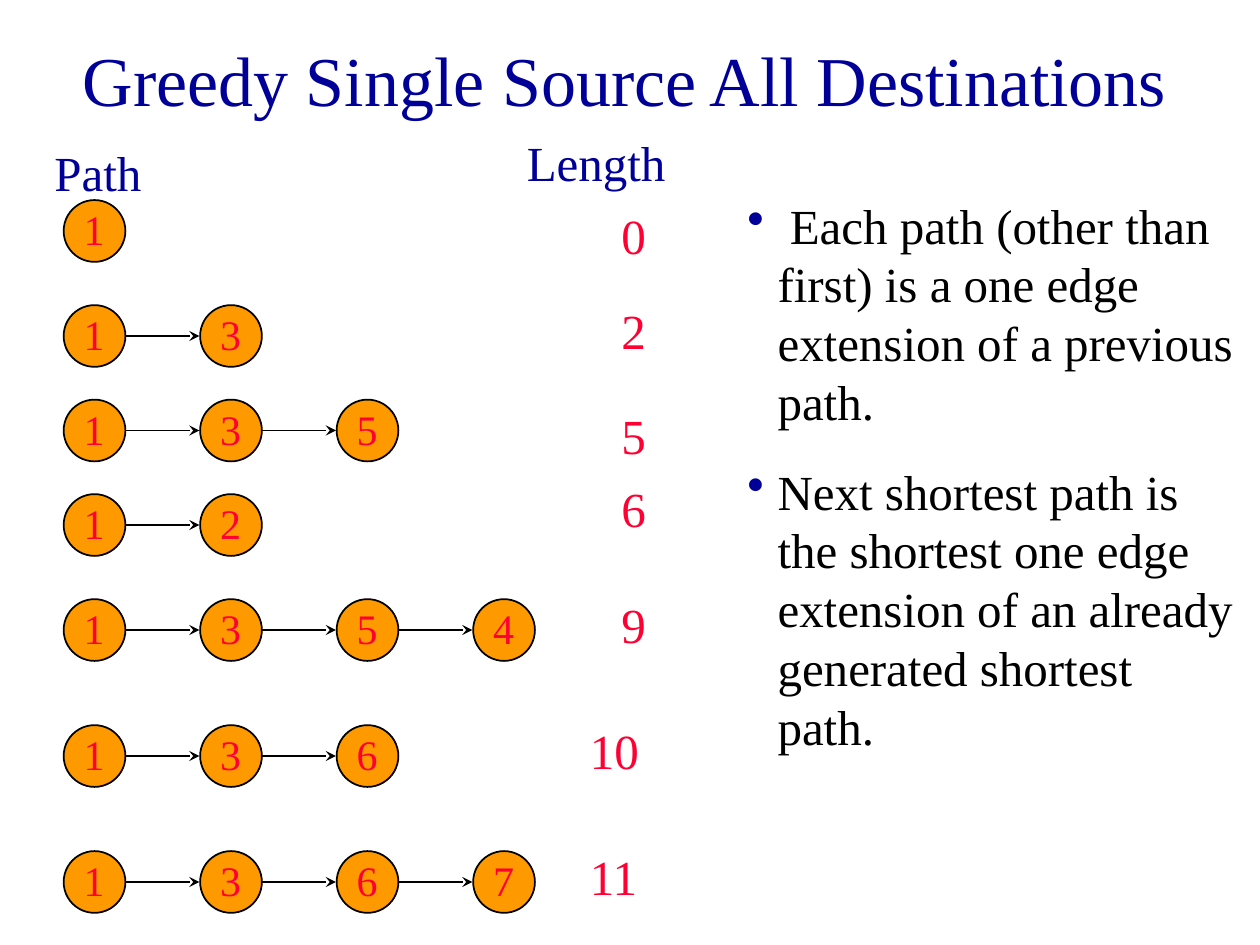
from lxml.etree import SubElement
from pptx import Presentation
from pptx.dml.color import RGBColor
from pptx.enum.shapes import MSO_CONNECTOR, MSO_SHAPE
from pptx.enum.text import MSO_ANCHOR, MSO_AUTO_SIZE, PP_ALIGN
from pptx.oxml.ns import qn
from pptx.util import Inches, Pt

FONT = "Times New Roman"
NAVY, RED, ORANGE, BLACK = "000099", "FF0033", "FF9900", "000000"

# Grid of twelfths of an inch
FIRST_NODE, NODE_STEP = 9, 13
EDGE_START, EDGE_LENGTH = 12, 7
NODE_SIZE = Inches(0.49)

# Nodes on the path, row centre, path length, top of the length label
PATHS = [
    ("1", 22, "0", 19),
    ("13", 32, "2", 28),
    ("135", 41, "5", 38),
    ("12", 50, "6", 45),
    ("1354", 60, "9", 56),
    ("136", 72, "10", 68),
    ("1367", 84, "11", 80),
]

NOTES = [
    " Each path (other than first) is a one edge extension of a previous path.",
    "Next shortest path is the shortest one edge extension of an already generated shortest path.",
]


def grid(units):
    return Inches(units / 12)


def color(hex_code):
    return RGBColor.from_string(hex_code)


def write(para, text, size=28, ink=BLACK, before=17.5, align=PP_ALIGN.LEFT):
    para.alignment = align
    para.space_before = Pt(before)
    span = para.add_run()
    span.text = text
    span.font.name = FONT
    span.font.size = Pt(size)
    span.font.color.rgb = color(ink)


def add_bullet(para, ink, indent):
    props = para._p.get_or_add_pPr()
    props.set("marL", str(indent))
    props.set("indent", str(-indent))
    bullet_color = SubElement(props, qn("a:buClr"))
    SubElement(bullet_color, qn("a:srgbClr"), val=ink)
    SubElement(props, qn("a:buChar"), char="•")


def add_text_box(shapes, left, top, width, height, wrap=True):
    box = shapes.add_textbox(left, top, width, height)
    box.text_frame.word_wrap = wrap
    return box.text_frame


def add_label(shapes, text, left, top, width, ink):
    frame = add_text_box(shapes, grid(left), grid(top), grid(width), Inches(0.57))
    write(frame.paragraphs[0], text, ink=ink)


def add_node(shapes, name, center_x, center_y):
    left = grid(center_x) - NODE_SIZE // 2
    top = grid(center_y) - NODE_SIZE // 2
    circle = shapes.add_shape(MSO_SHAPE.OVAL, left, top, NODE_SIZE, NODE_SIZE)
    circle.shadow.inherit = False
    circle.fill.solid()
    circle.fill.fore_color.rgb = color(ORANGE)
    circle.line.color.rgb = color(BLACK)
    circle.line.width = Pt(1)
    frame = add_text_box(shapes, left + Inches(0.06), top - Inches(0.02),
                         Inches(0.37), Inches(0.5), wrap=False)
    write(frame.paragraphs[0], name, size=24, ink=RED, before=0)


def add_edge(shapes, start, y):
    edge = shapes.add_connector(MSO_CONNECTOR.STRAIGHT, grid(start), grid(y),
                                grid(start + EDGE_LENGTH), grid(y))
    edge.line.color.rgb = color(BLACK)
    edge.line.width = Pt(1)
    SubElement(edge.line._get_or_add_ln(), qn("a:tailEnd"), type="stealth")
    SubElement(edge._element.spPr, qn("a:effectLst"))


def add_path_row(page, nodes, center, length, label_top):
    shapes = page.shapes.add_group_shape().shapes
    for column, name in enumerate(nodes):
        add_node(shapes, name, FIRST_NODE + column * NODE_STEP, center)
        if column:
            add_edge(shapes, EDGE_START + (column - 1) * NODE_STEP, center)
    # Two-digit lengths get a wider label that ends at the same edge
    width = 5 if len(length) == 1 else 8
    add_label(shapes, length, 63 - width, label_top, width, RED)


def add_title(page, text):
    title = page.shapes.title
    title.left, title.top = grid(3), 0
    title.width, title.height = grid(113), grid(15)
    frame = title.text_frame
    frame.auto_size = MSO_AUTO_SIZE.NONE
    frame.vertical_anchor = MSO_ANCHOR.MIDDLE
    write(frame.paragraphs[0], text, size=40, ink=NAVY, before=0, align=PP_ALIGN.CENTER)


def add_notes_column(page, notes):
    frame = add_text_box(page.shapes, grid(70), grid(18), grid(49), grid(49))
    for index, text in enumerate(notes):
        para = frame.add_paragraph() if index else frame.paragraphs[0]
        write(para, text)
        add_bullet(para, NAVY, Inches(0.24))


def main():
    deck = Presentation()
    deck.slide_width, deck.slide_height = Inches(10), Inches(7.5)
    page = deck.slides.add_slide(deck.slide_layouts[5])

    # Title and column headings
    add_title(page, "Greedy Single Source All Destinations")
    add_label(page.shapes, "Path", 4, 13, 11, NAVY)
    add_label(page.shapes, "Length", 49, 12, 18, NAVY)

    # Paths with their lengths
    for path_row in PATHS:
        add_path_row(page, *path_row)

    # Explanation on the right
    add_notes_column(page, NOTES)
    deck.save("out.pptx")


if __name__ == "__main__":
    main()
